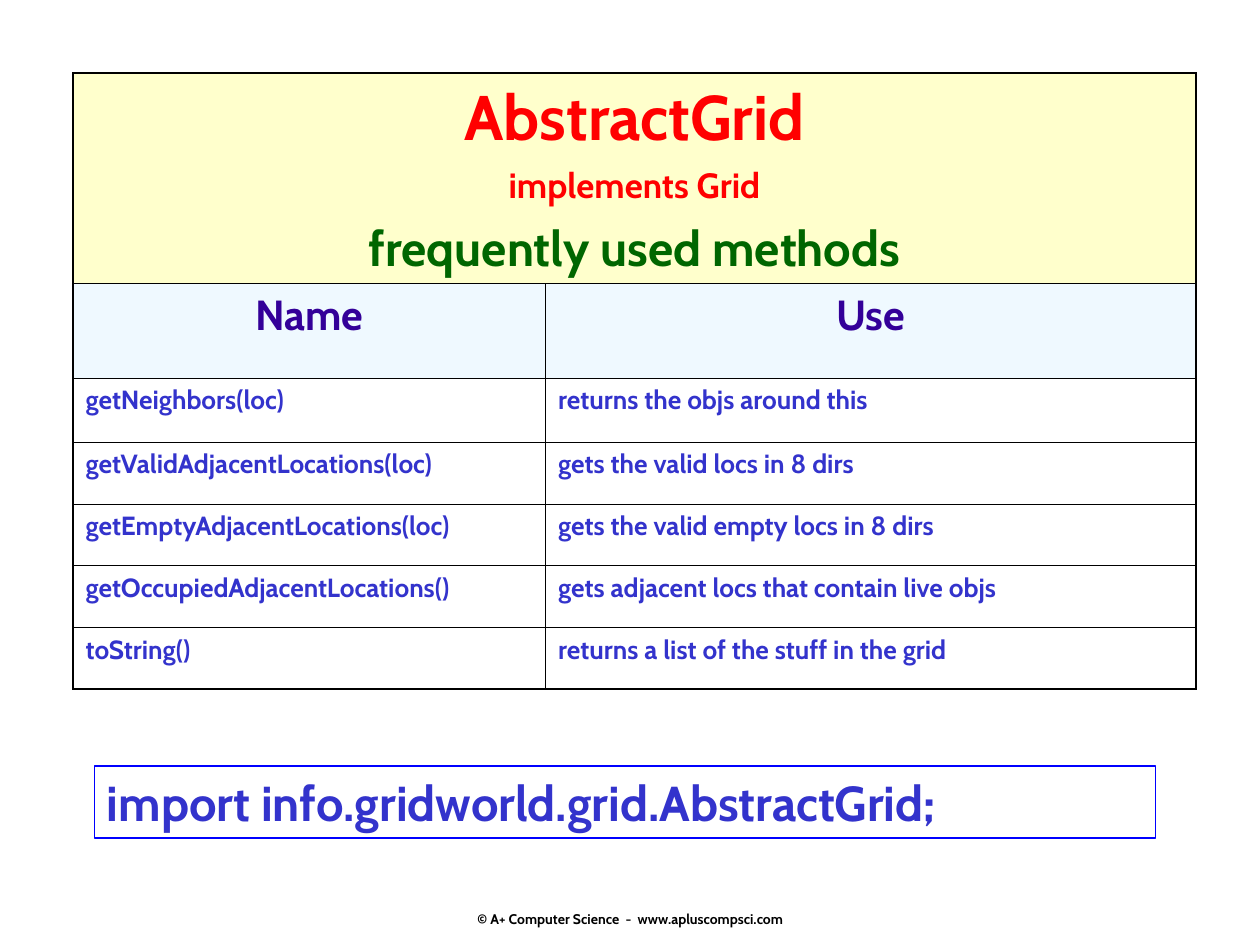
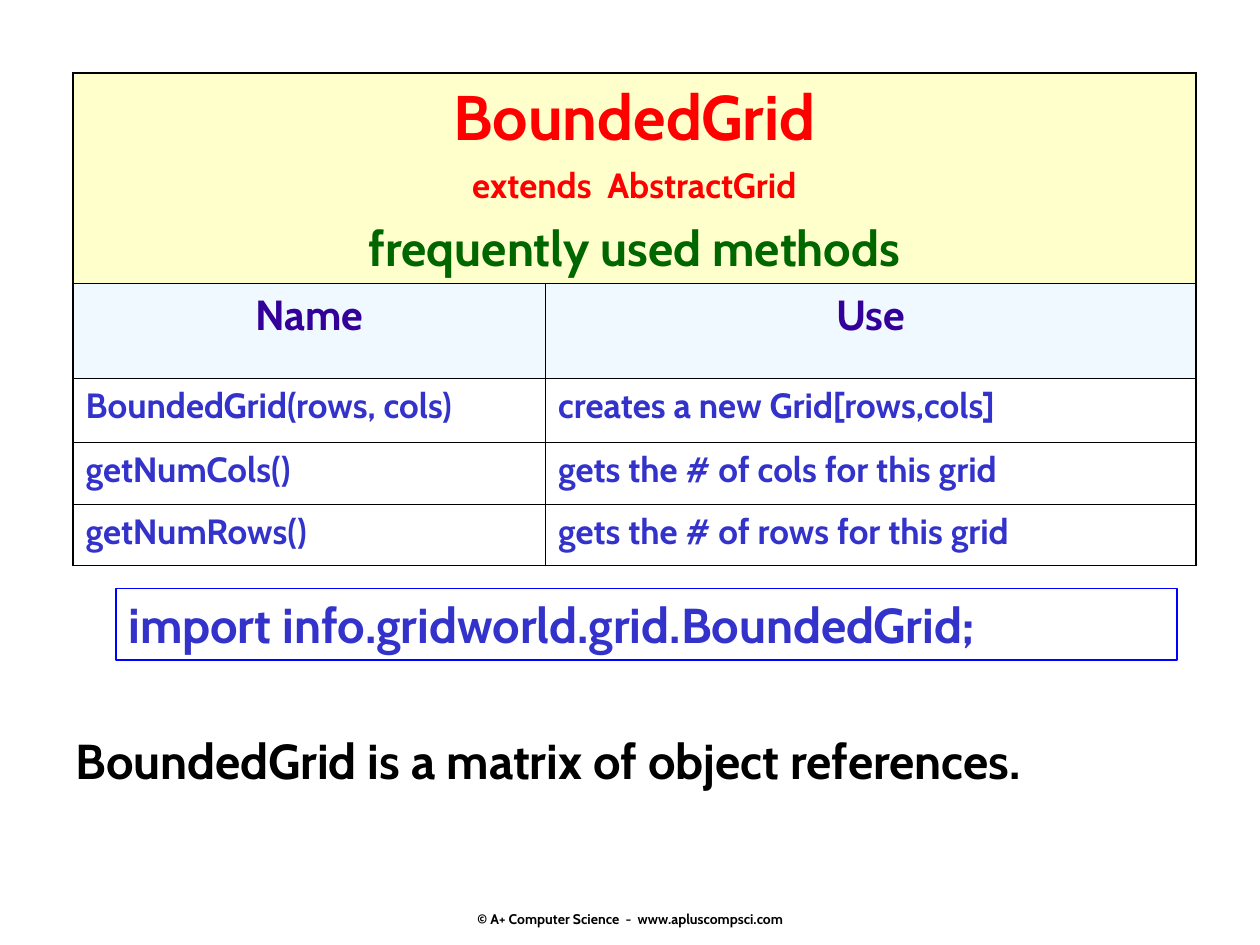
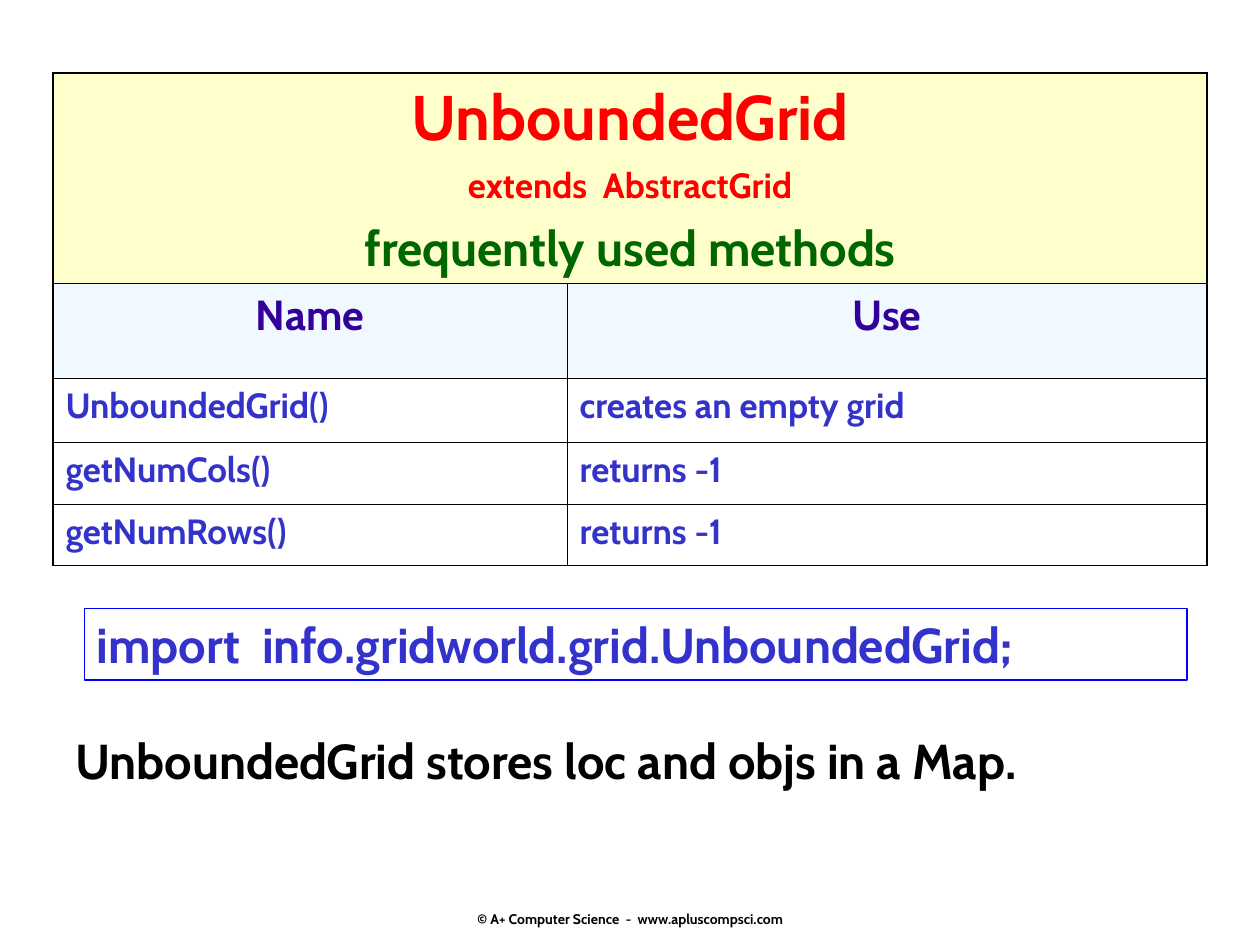
from lxml.etree import SubElement
from pptx import Presentation
from pptx.dml.color import RGBColor
from pptx.enum.shapes import MSO_SHAPE
from pptx.enum.text import MSO_ANCHOR, MSO_AUTO_SIZE, PP_ALIGN
from pptx.oxml.ns import qn
from pptx.util import Inches, Pt

FONT = "Cabin"
BLACK, RED, GREEN = "000000", "FF0000", "006600"
CODE_BLUE, FRAME_BLUE, INDIGO = "3333CC", "0000FF", "330099"
CREAM, SKY = "FFFFCC", "E1F4FF"
OUTER_LINE, INNER_LINE = 1.08, 0.45
TITLE_HEIGHT, HEADING_HEIGHT, FIRST_HEIGHT, ROW_HEIGHT = 1.67, 0.75, 0.51, 0.49
BAND_HEIGHT = 0.57
FOOTER = "© A+ Computer Science  -  www.apluscompsci.com"


def color(hex_code):
    """Turn a hex string into a colour."""
    return RGBColor.from_string(hex_code)


def add_span(para, text, size, hex_code, align=PP_ALIGN.LEFT):
    """Add one bold run to a paragraph and align the paragraph."""
    para.alignment = align
    span = para.add_run()
    span.text = text
    span.font.name = FONT
    span.font.size = Pt(size)
    span.font.bold = True
    span.font.color.rgb = color(hex_code)


def add_text(page, text, area, size, hex_code):
    """Add a wrapping text box with one left-aligned line."""
    box = page.shapes.add_textbox(*map(Inches, area))
    box.text_frame.word_wrap = True
    add_span(box.text_frame.paragraphs[0], text, size, hex_code)


def add_footer(page):
    """Add the centred copyright line."""
    box = page.shapes.add_textbox(Inches(3.42), Inches(7.14), Inches(3.17), Inches(0.3))
    box.text_frame.word_wrap = False
    box.text_frame.vertical_anchor = MSO_ANCHOR.MIDDLE
    add_span(box.text_frame.paragraphs[0], FOOTER, 8, BLACK, PP_ALIGN.CENTER)


def add_import(page, text, left, top, width):
    """Add the framed import statement."""
    box = page.shapes.add_shape(
        MSO_SHAPE.RECTANGLE, Inches(left), Inches(top), Inches(width), Inches(BAND_HEIGHT))
    box.shadow.inherit = False
    box.fill.background()
    box.line.color.rgb = color(FRAME_BLUE)
    box.line.width = Pt(1)
    frame = box.text_frame
    frame.word_wrap = True
    frame.auto_size = MSO_AUTO_SIZE.SHAPE_TO_FIT_TEXT
    frame.vertical_anchor = MSO_ANCHOR.TOP
    add_span(frame.paragraphs[0], text, 28, CODE_BLUE)


def add_borders(cell, outer_sides):
    """Draw the four cell borders, thicker on the table's outer sides."""
    properties = cell._tc.get_or_add_tcPr()
    for side in "LRTB":
        points = OUTER_LINE if side in outer_sides else INNER_LINE
        line = SubElement(properties, qn(f"a:ln{side}"), w=str(int(Pt(points))))
        fill = SubElement(line, qn("a:solidFill"))
        SubElement(fill, qn("a:srgbClr"), val=BLACK)


def fill_cell(cell, hex_code, opacity=100):
    """Fill a cell with a colour at an opacity in percent."""
    cell.fill.solid()
    cell.fill.fore_color.rgb = color(hex_code)
    if opacity < 100:
        tone = cell._tc.tcPr.find(qn("a:solidFill")).find(qn("a:srgbClr"))
        SubElement(tone, qn("a:alpha"), val=str(opacity * 1000))


def style_cells(table):
    """Apply borders and fills to every cell by its place in the table."""
    last_row, last_column = len(table.rows) - 1, len(table.columns) - 1
    for row in range(last_row + 1):
        for column in range(last_column + 1):
            cell = table.cell(row, column)
            right = column + (cell.span_width if cell.is_merge_origin else 1) - 1
            edges = {"L": column == 0, "R": right == last_column,
                     "T": row == 0, "B": row == last_row}
            add_borders(cell, [side for side, is_outer in edges.items() if is_outer])
            if row == 0:
                fill_cell(cell, CREAM)
            elif row == 1:
                fill_cell(cell, SKY, 50)
            else:
                cell.fill.background()


def add_title(cell, name, relation):
    """Write the class name, its parent and the subtitle in the title cell."""
    lines = [(name, 36, RED, 0), (relation, 20, RED, 5),
             ("frequently used methods", 28, GREEN, 7)]
    frame = cell.text_frame
    for index, (text, size, hex_code, space) in enumerate(lines):
        para = frame.add_paragraph() if index else frame.paragraphs[0]
        para.space_before = Pt(space)
        add_span(para, text, size, hex_code, PP_ALIGN.CENTER)


def add_methods(page, name, relation, methods, left, widths, size):
    """Add the table of a class's methods."""
    heights = [TITLE_HEIGHT, HEADING_HEIGHT, FIRST_HEIGHT]
    heights += [ROW_HEIGHT] * (len(methods) - 1)
    table = page.shapes.add_table(
        len(heights), len(widths), Inches(left), Inches(0.58),
        Inches(sum(widths)), Inches(sum(heights))).table
    table.first_row = table.horz_banding = False
    for column, width in zip(table.columns, widths):
        column.width = Inches(width)
    for row, height in zip(table.rows, heights):
        row.height = Inches(height)
    table.cell(0, 0).merge(table.cell(0, len(widths) - 1))
    style_cells(table)
    add_title(table.cell(0, 0), name, relation)
    for column, heading in enumerate(("Name", "Use")):
        para = table.cell(1, column).text_frame.paragraphs[0]
        add_span(para, heading, 24, INDIGO, PP_ALIGN.CENTER)
    for row, entry in enumerate(methods, start=2):
        for column, text in enumerate(entry):
            para = table.cell(row, column).text_frame.paragraphs[0]
            add_span(para, text, size, CODE_BLUE)


def add_page(deck):
    """Add a blank page with the shared footer."""
    page = deck.slides.add_slide(deck.slide_layouts[6])
    add_footer(page)
    return page


def add_remark(page, text):
    """Add the closing sentence under the table."""
    add_text(page, text, (0.5, 5.75, 9.25, BAND_HEIGHT), 28, BLACK)


def main():
    """Build the three grid class pages."""
    deck = Presentation()
    deck.slide_width, deck.slide_height = Inches(10), Inches(7.5)

    page = add_page(deck)
    add_methods(page, "AbstractGrid", "implements Grid", [
        ("getNeighbors(loc)", "returns the objs around this"),
        ("getValidAdjacentLocations(loc)", "gets the valid locs in 8 dirs"),
        ("getEmptyAdjacentLocations(loc)", "gets the valid empty locs in 8 dirs"),
        ("getOccupiedAdjacentLocations()", "gets adjacent locs that contain live objs"),
        ("toString()", "returns a list of the stuff in the grid"),
    ], 0.58, (3.75, 5.16), 15)
    add_import(page, "import info.gridworld.grid.AbstractGrid;", 0.75, 6.08, 8.42)

    page = add_page(deck)
    add_methods(page, "BoundedGrid", "extends  AbstractGrid", [
        ("BoundedGrid(rows, cols)", "creates a new Grid[rows,cols]"),
        ("getNumCols()", "gets the # of cols for this grid"),
        ("getNumRows()", "gets the # of rows for this grid"),
    ], 0.58, (3.75, 5.16), 20)
    add_import(page, "import info.gridworld.grid.BoundedGrid;", 0.92, 4.67, 8.42)
    add_remark(page, "BoundedGrid is a matrix of object references.")

    page = add_page(deck)
    add_methods(page, "UnboundedGrid", "extends  AbstractGrid", [
        ("UnboundedGrid()", "creates an empty grid"),
        ("getNumCols()", "returns -1"),
        ("getNumRows()", "returns -1"),
    ], 0.42, (4.08, 5.08), 20)
    add_remark(page, "UnboundedGrid stores loc and objs in a Map.")
    add_import(page, "import  info.gridworld.grid.UnboundedGrid;", 0.67, 4.83, 8.75)

    deck.save("out.pptx")


if __name__ == "__main__":
    main()
